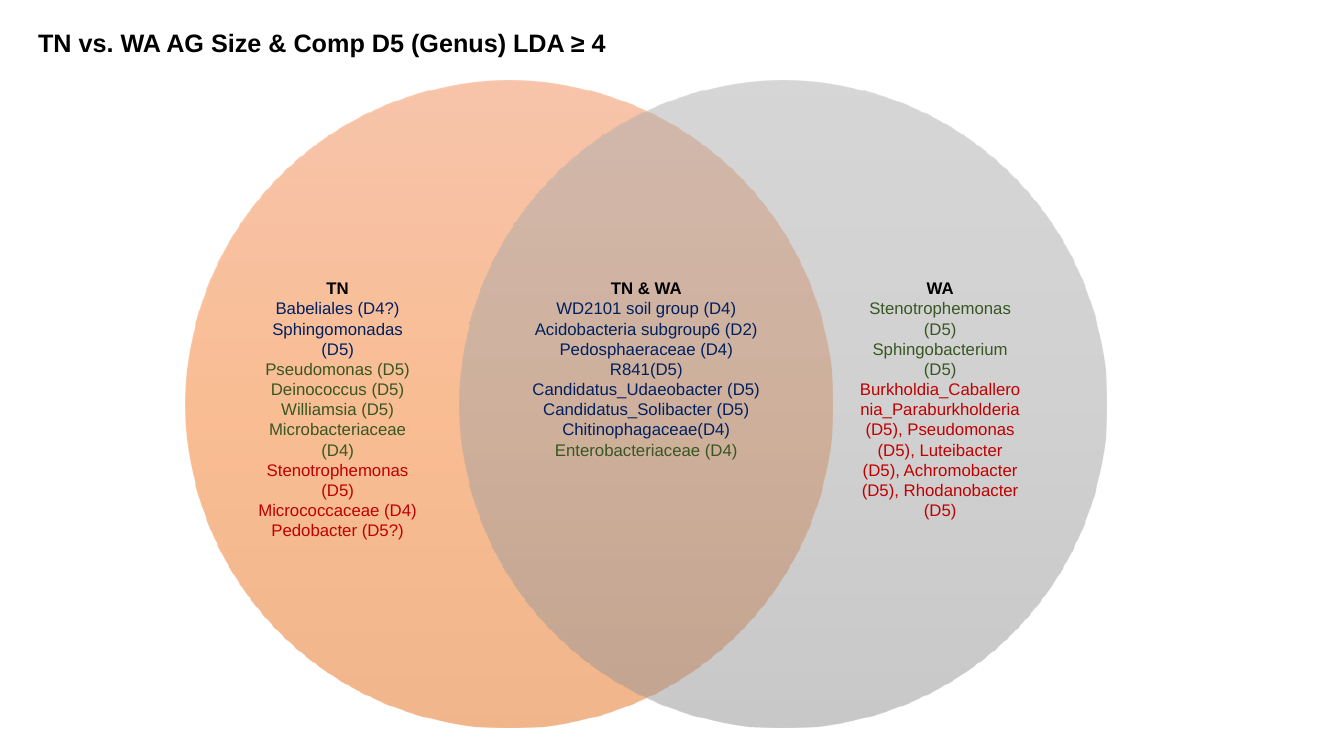
from lxml.etree import SubElement
from pptx import Presentation
from pptx.dml.color import RGBColor
from pptx.enum.shapes import MSO_SHAPE
from pptx.enum.text import MSO_AUTO_SIZE, PP_ALIGN
from pptx.oxml.ns import qn
from pptx.util import Cm, Pt

COLORS = {
    "black": "000000", "navy": "002060", "green": "385723", "red": "C00000",
    "orange": ["F18C57", "F67B28", "E56C19"],
    "gray": ["AFAFAF", "A5A5A5", "939393"],
}


class Page:
    """Holds the style and the current slide."""

    font = "Arial"

    def __init__(self, slide):
        """Start with a slide and a group for the Venn diagram."""
        self.slide = slide
        self.venn = slide.shapes.add_group_shape()

    def style(self, para, size, color, bold=False):
        """Set the font of a whole paragraph."""
        font = para.font
        font.name, font.size, font.bold = self.font, Pt(size), bold
        font.color.rgb = RGBColor.from_string(COLORS[color])

    def title(self, text, left, top, width, height):
        """Add the bold heading on one line."""
        box = self.slide.shapes.add_textbox(Cm(left), Cm(top), Cm(width), Cm(height))
        box.text_frame.word_wrap = False
        para = box.text_frame.paragraphs[0]
        para.text = text
        self.style(para, 18, "black", True)

    def circle(self, left, top, size, color):
        """Add a half-clear circle, shaded from top to bottom."""
        shape = self.venn.shapes.add_shape(
            MSO_SHAPE.OVAL, Cm(left), Cm(top), Cm(size), Cm(size))
        shape.shadow.inherit = False
        shape.line.fill.background()
        shape.fill.gradient()
        shape.fill.gradient_angle = 270
        stops = next(shape.element.iter(qn("a:gsLst")))
        for stop in list(stops):
            stops.remove(stop)
        for place, shade in zip((0, 50000, 100000), COLORS[color]):
            stop = SubElement(stops, qn("a:gs"), pos=str(place))
            tint = SubElement(stop, qn("a:srgbClr"), val=shade)
            SubElement(tint, qn("a:alpha"), val="50000")

    def genera(self, head, groups, left, top, width, height):
        """Add a centred list: a bold head, then names by colour."""
        box = self.venn.shapes.add_textbox(Cm(left), Cm(top), Cm(width), Cm(height))
        frame = box.text_frame
        frame.word_wrap = True
        frame.auto_size = MSO_AUTO_SIZE.SHAPE_TO_FIT_TEXT
        para = frame.paragraphs[0]
        para.text, para.alignment = head, PP_ALIGN.CENTER
        self.style(para, 12, "black", True)
        for color, names in groups.items():
            for name in names:
                para = frame.add_paragraph()
                para.text, para.alignment = name, PP_ALIGN.CENTER
                self.style(para, 12, color)


BOTH = {
    "navy": ["WD2101 soil group (D4)", "Acidobacteria subgroup6 (D2)",
             "Pedosphaeraceae (D4)", "R841(D5)", "Candidatus_Udaeobacter (D5)",
             "Candidatus_Solibacter (D5)", "Chitinophagaceae(D4)"],
    "green": ["Enterobacteriaceae (D4)"],
}
TN = {
    "navy": ["Babeliales (D4?)", "Sphingomonadas (D5)"],
    "green": ["Pseudomonas (D5)", "Deinococcus (D5)", "Williamsia (D5)",
              "Microbacteriaceae (D4)"],
    "red": ["Stenotrophemonas (D5)", "Micrococcaceae (D4)", "Pedobacter (D5?)"],
}
WA = {
    "green": ["Stenotrophemonas (D5)", "Sphingobacterium (D5)"],
    "red": ["Burkholdia_Caballeronia_Paraburkholderia (D5), Pseudomonas (D5), "
            "Luteibacter (D5), Achromobacter (D5), Rhodanobacter (D5)"],
}

deck = Presentation()
deck.slide_width, deck.slide_height = Cm(33.87), Cm(19.05)
page = Page(deck.slides.add_slide(deck.slide_layouts[6]))

page.title("TN vs. WA AG Size & Comp D5 (Genus) LDA ≥ 4", 0.71, 0.56, 14.96, 1.8)
for left, color in ((4.67, "orange"), (11.58, "gray")):
    page.circle(left, 2.03, 16.31, color)
for head, groups, left, width, height in (
        ("TN & WA", BOTH, 13, 6.58, 5.89),
        ("TN", TN, 6.25, 4.52, 6.93),
        ("WA", WA, 21.41, 4.57, 6.4)):
    page.genera(head, groups, left, 6.88, width, height)

deck.save("out.pptx")
